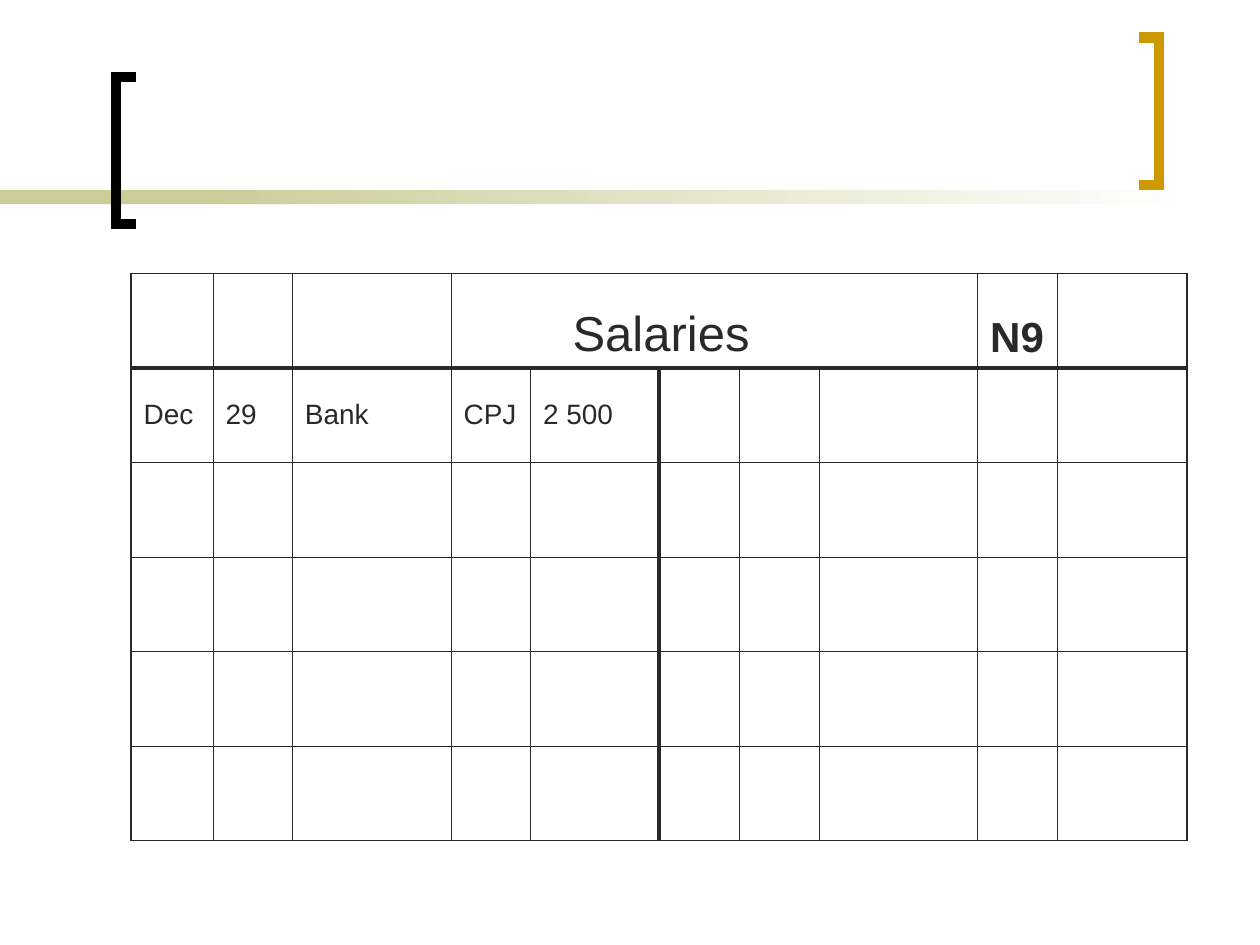
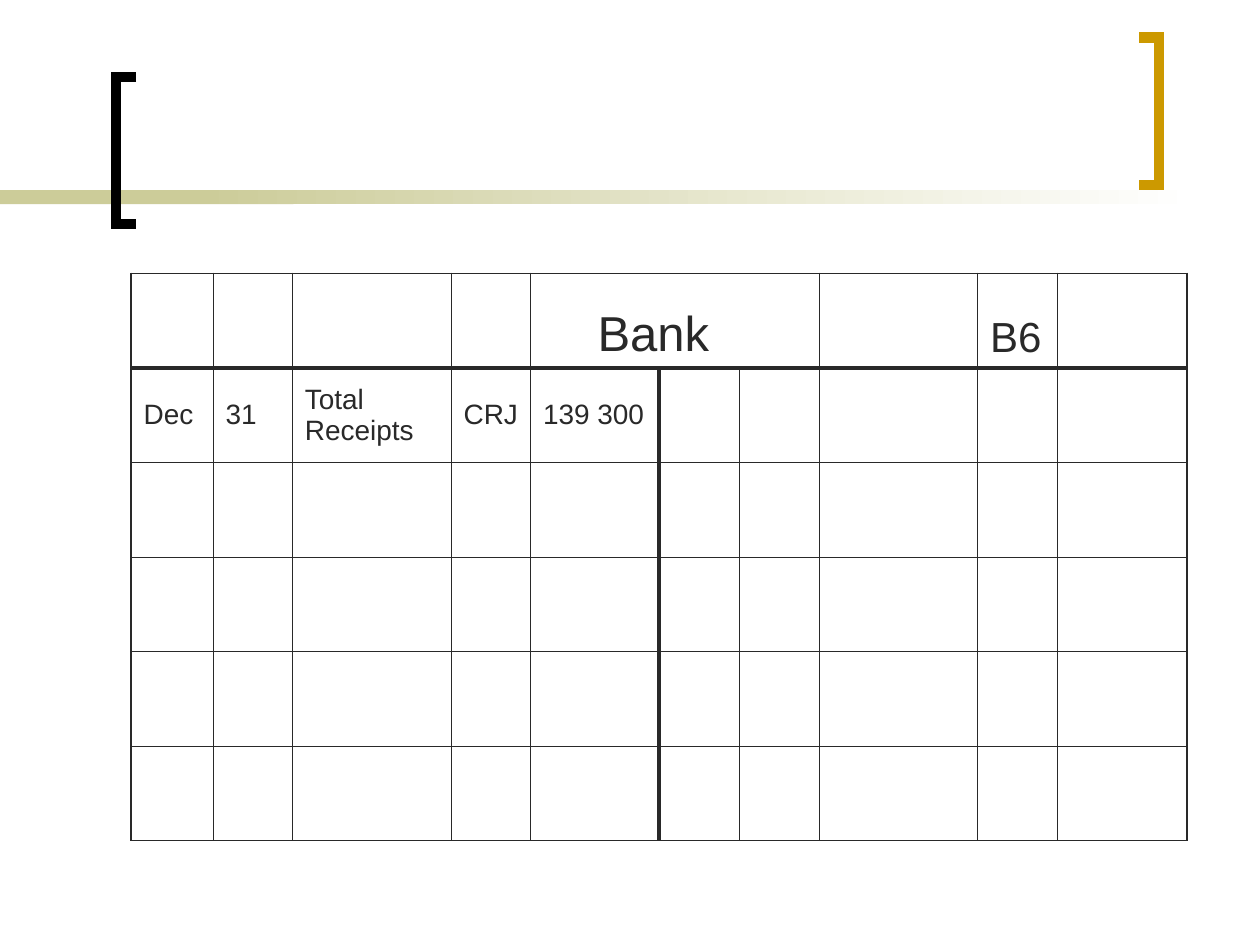
"""Build two ledger account slides, Salaries and Bank, on a shared bracketed background."""
from lxml import etree
from pptx import Presentation
from pptx.dml.color import RGBColor
from pptx.enum.shapes import MSO_SHAPE
from pptx.enum.text import MSO_ANCHOR
from pptx.oxml.ns import qn
from pptx.util import Inches, Pt

RECTANGLE = MSO_SHAPE.RECTANGLE
BOTTOM, MIDDLE = MSO_ANCHOR.BOTTOM, MSO_ANCHOR.MIDDLE
WHITE = RGBColor(0xFF, 0xFF, 0xFF)
BLACK = RGBColor(0x00, 0x00, 0x00)
GOLD = RGBColor(0xCC, 0x99, 0x00)
OLIVE = RGBColor(0xCC, 0xCC, 0x99)
INK = RGBColor(0x29, 0x29, 0x29)

GRID_COLUMNS, GRID_ROWS = 40, 30
THIN, OUTER, HEAVY = 0.45, 1.08, 2.21
LEDGER_LEFT, LEDGER_TOP = 4.16, 8.68
LEDGER_COLUMNS = [2.6, 2.52, 5.04, 2.52, 4.08, 2.56, 2.52, 5.04, 2.52, 4.12]
LEDGER_ROWS, ROW_HEIGHT = 6, 3
FOLIO_COLUMN, DEBIT_CREDIT_EDGE = 8, 5


class LedgerDeck:
    """Hold the deck style and the current slide."""

    font = "Arial"

    def __init__(self):
        self.deck = Presentation()
        self.deck.slide_width = Inches(10)
        self.deck.slide_height = Inches(7.5)
        self.slide = None

    def x(self, columns):
        return round(self.deck.slide_width * columns / GRID_COLUMNS)

    def y(self, rows):
        return round(self.deck.slide_height * rows / GRID_ROWS)

    def new_slide(self):
        self.slide = self.deck.slides.add_slide(self.deck.slide_layouts[6])
        self.band(0, 9.32)
        self.band(6.32, 31.68, fade=True)
        self.bracket(4.32, 3.68, 2.44, BLACK)
        self.bracket(36.16, 36.8, 1.2, GOLD)

    def band(self, left, width, fade=False):
        band = self.slide.shapes.add_shape(
            RECTANGLE, self.x(left), self.y(6.04), self.x(width), self.y(0.44))
        band.shadow.inherit = False
        band.line.fill.background()
        if fade:
            band.fill.gradient()
            band.fill.gradient_angle = 0
            for stop, color in zip(band.fill.gradient_stops, (OLIVE, WHITE)):
                stop.color.rgb = color
        else:
            band.fill.solid()
            band.fill.fore_color.rgb = OLIVE

    def bracket(self, tip, spine, top, color):
        upper, lower = self.y(top), self.y(top + 4.68)
        outline = self.slide.shapes.build_freeform(self.x(tip), upper)
        outline.add_line_segments(
            [(self.x(spine), upper), (self.x(spine), lower), (self.x(tip), lower)],
            close=False)
        bracket = outline.convert_to_shape()
        bracket.shadow.inherit = False
        bracket.fill.background()
        bracket.line.color.rgb = color
        bracket.line.width = Pt(6)
        line_properties = bracket.line.fill._xPr
        etree.SubElement(line_properties, qn("a:miter"), lim="800000")

    def ledger(self, account, account_span, indent, folio, folio_bold, entry):
        ledger = self.slide.shapes.add_table(
            LEDGER_ROWS, len(LEDGER_COLUMNS), self.x(LEDGER_LEFT), self.y(LEDGER_TOP),
            self.x(sum(LEDGER_COLUMNS)), self.y(LEDGER_ROWS * ROW_HEIGHT)).table
        ledger.first_row = ledger.horz_banding = False
        for column, width in zip(ledger.columns, LEDGER_COLUMNS):
            column.width = self.x(width)
        for row_index, row in enumerate(ledger.rows):
            row.height = self.y(ROW_HEIGHT)
            for column_index, cell in enumerate(row.cells):
                self.rule_cell(cell, row_index, column_index)
        first, last = account_span
        ledger.cell(0, first).merge(ledger.cell(0, last))
        self.cell_text(ledger.cell(0, first), account, 28, BOTTOM, indent=indent)
        self.cell_text(ledger.cell(0, FOLIO_COLUMN), folio, 24, BOTTOM, bold=folio_bold)
        for column_index, value in enumerate(entry):
            self.cell_text(ledger.cell(1, column_index), value, 16, MIDDLE)

    def rule_cell(self, cell, row, column):
        def vertical(edge):
            if edge in (0, len(LEDGER_COLUMNS)):
                return OUTER
            return HEAVY if edge == DEBIT_CREDIT_EDGE and row else THIN

        def horizontal(edge):
            if edge in (0, LEDGER_ROWS):
                return OUTER
            return HEAVY if edge == 1 else THIN

        sides = {"L": vertical(column), "R": vertical(column + 1),
                 "T": horizontal(row), "B": horizontal(row + 1)}
        properties = cell._tc.get_or_add_tcPr()
        for side, points in sides.items():
            rule = etree.SubElement(properties, qn(f"a:ln{side}"), w=str(Pt(points)))
            fill = etree.SubElement(rule, qn("a:solidFill"))
            etree.SubElement(fill, qn("a:srgbClr"), val=str(INK))
        cell.fill.background()

    def cell_text(self, cell, text, size, anchor, bold=False, indent=0):
        cell.vertical_anchor = anchor
        cell.margin_right = self.x(0.2)
        paragraph = cell.text_frame.paragraphs[0]
        if indent:
            paragraph._p.get_or_add_pPr().set("marL", str(self.x(indent)))
        run = paragraph.add_run()
        run.text = text
        run.font.name = self.font
        run.font.size = Pt(size)
        run.font.bold = bold
        run.font.color.rgb = INK


def main():
    ledgers = LedgerDeck()
    ledgers.new_slide()
    ledgers.ledger("Salaries", (3, 7), 3.46, "N9", True,
                   ["Dec", "29", "Bank", "CPJ", "2 500"])
    ledgers.new_slide()
    ledgers.ledger("Bank", (4, 6), 1.73, "B6", False,
                   ["Dec", "31", "Total Receipts", "CRJ", "139 300"])
    ledgers.deck.save("out.pptx")


if __name__ == "__main__":
    main()
